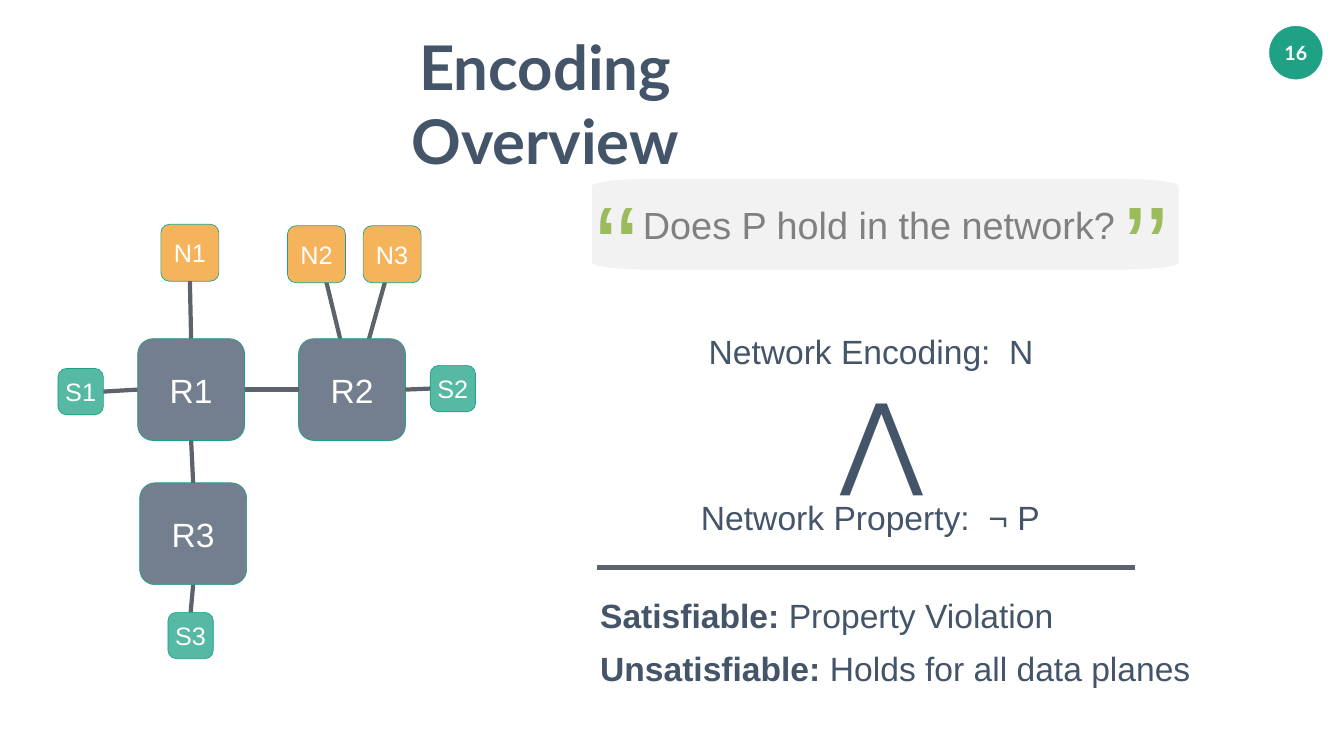
from dataclasses import dataclass
from math import cos, pi, sin

from lxml.etree import SubElement
from pptx import Presentation
from pptx.dml.color import RGBColor
from pptx.enum.shapes import MSO_CONNECTOR as Connector, MSO_SHAPE as Shape
from pptx.enum.text import MSO_ANCHOR as Anchor, MSO_AUTO_SIZE as AutoSize, PP_ALIGN as Align
from pptx.oxml.ns import qn
from pptx.util import Inches, Pt

COLUMNS, ROWS = 266.5, 150
CELL = Inches(0.1)

NAVY = RGBColor(0x44, 0x54, 0x69)
SLATE = RGBColor(0x73, 0x7F, 0x8E)
LINK_GRAY = RGBColor(0x5C, 0x63, 0x6C)
TEXT_GRAY = RGBColor(0x80, 0x80, 0x80)
PANEL_GRAY = RGBColor(0xF2, 0xF2, 0xF2)
GREEN = RGBColor(0x1E, 0xA1, 0x85)
MINT = RGBColor(0x56, 0xB9, 0xA3)
LEAF = RGBColor(0x9B, 0xBB, 0x5C)
ORANGE = RGBColor(0xF5, 0xB4, 0x5C)
WHITE = RGBColor(0xFF, 0xFF, 0xFF)


@dataclass(frozen=True)
class Run:
    text: str
    bold: bool = False
    spacing: float = 0


@dataclass(frozen=True)
class TextStyle:
    size: float
    color: RGBColor
    font: str = "Arial"


@dataclass(frozen=True)
class NodeStyle:
    preset: Shape
    width: float
    height: float
    fill: RGBColor
    text: TextStyle
    bold: bool = False
    corner: float = 0
    border: float = 1


@dataclass(frozen=True)
class Node:
    label: str
    column: float
    row: float
    style: NodeStyle


@dataclass(frozen=True)
class Link:
    start: str
    start_side: int
    end: str
    end_side: int


@dataclass(frozen=True)
class Label:
    column: float
    row: float
    width: float
    height: float
    style: TextStyle
    runs: tuple[Run, ...]
    inset: float = 0.5
    right_inset: float = 0.5
    align: Align = Align.LEFT
    wrap: bool = False


def cells(count: float) -> int:
    return round(count * CELL)


def add_runs(paragraph, runs: tuple[Run, ...], style: TextStyle) -> None:
    for item in runs:
        run = paragraph.add_run()
        run.text = item.text
        run.font.name = style.font
        run.font.size = Pt(style.size)
        run.font.bold = item.bold
        run.font.color.rgb = style.color
        if item.spacing:
            run.font._element.set("spc", str(round(item.spacing * 100)))


def add_node(slide, node: Node):
    style = node.style
    shape = slide.shapes.add_shape(style.preset, *map(cells, (node.column, node.row, style.width, style.height)))
    shape.shadow.inherit = False
    if style.corner:
        shape.adjustments[0] = style.corner
    shape.fill.solid()
    shape.fill.fore_color.rgb = style.fill
    shape.line.color.rgb = GREEN
    shape.line.width = Pt(style.border)
    frame = shape.text_frame
    frame.margin_left = frame.margin_right = frame.margin_top = frame.margin_bottom = 0
    frame.word_wrap = False
    frame.vertical_anchor = Anchor.MIDDLE
    paragraph = frame.paragraphs[0]
    paragraph.alignment = Align.CENTER
    add_runs(paragraph, (Run(node.label, style.bold),), style.text)
    return shape


def add_line(slide, start: tuple[float, float], end: tuple[float, float]):
    connector = slide.shapes.add_connector(Connector.STRAIGHT, *map(cells, (*start, *end)))
    connector.line.color.rgb = LINK_GRAY
    connector.line.width = Pt(6)
    SubElement(connector._element.spPr, qn("a:effectLst"))
    return connector


def add_link(slide, link: Link, shapes: dict) -> None:
    connector = add_line(slide, (0, 0), (0, 0))
    connector.begin_connect(shapes[link.start], link.start_side)
    connector.end_connect(shapes[link.end], link.end_side)


def add_label(slide, label: Label) -> None:
    box = slide.shapes.add_textbox(*map(cells, (label.column, label.row, label.width, label.height)))
    frame = box.text_frame
    frame.margin_left = frame.margin_top = frame.margin_bottom = cells(label.inset)
    frame.margin_right = cells(label.right_inset)
    frame.word_wrap = label.wrap
    frame.auto_size = AutoSize.SHAPE_TO_FIT_TEXT
    paragraph = frame.paragraphs[0]
    paragraph.alignment = label.align
    add_runs(paragraph, label.runs, label.style)


def add_panel(slide, column: float, row: float, width: float, height: float,
              radius_x: float, radius_y: float, steps: int = 8) -> None:
    left, right = column + radius_x, column + width - radius_x
    top, bottom = row + radius_y, row + height - radius_y
    centers = ((right, bottom), (left, bottom), (left, top), (right, top))
    points = []
    for quarter, (x, y) in enumerate(centers):
        for step in range(steps + 1):
            angle = (quarter + step / steps) * pi / 2
            points.append((cells(x + radius_x * cos(angle)), cells(y + radius_y * sin(angle))))
    builder = slide.shapes.build_freeform(*points[0])
    builder.add_line_segments(points[1:], close=True)
    panel = builder.convert_to_shape()
    panel.shadow.inherit = False
    panel.fill.solid()
    panel.fill.fore_color.rgb = PANEL_GRAY
    panel.line.fill.background()


BODY = TextStyle(48, NAVY)
QUOTE = TextStyle(166, LEAF)
NODE_TEXT = TextStyle(36, WHITE)
BADGE = NodeStyle(Shape.OVAL, 10.5, 10.5, GREEN, TextStyle(28, WHITE, "Lato"), bold=True, border=0.5)
ROUTER = NodeStyle(Shape.ROUNDED_RECTANGLE, 21.2, 20.2, SLATE, TextStyle(48, WHITE), corner=0.15)
NEIGHBOR = NodeStyle(Shape.ROUNDED_RECTANGLE, 11.5, 11.3, ORANGE, NODE_TEXT, corner=0.15)
SUBNET = NodeStyle(Shape.ROUNDED_RECTANGLE, 9, 9.2, MINT, NODE_TEXT, corner=0.19)

NODES = (
    Node("S1", 11.5, 73.1, SUBNET),
    Node("S2", 85.3, 72.5, SUBNET),
    Node("S3", 33.3, 121.5, SUBNET),
    Node("N1", 31.9, 44.5, NEIGHBOR),
    Node("N2", 57, 44.8, NEIGHBOR),
    Node("N3", 72, 44.8, NEIGHBOR),
    Node("R1", 27.3, 67.2, ROUTER),
    Node("R2", 59.2, 67.2, ROUTER),
    Node("R3", 27.7, 95.8, ROUTER),
)
LINKS = (
    Link("R1", 3, "R2", 1),
    Link("R1", 2, "R3", 0),
    Link("N1", 2, "R1", 0),
    Link("S1", 3, "R1", 1),
    Link("R2", 3, "S2", 1),
    Link("R3", 2, "S3", 0),
)
SLANTED_LINKS = (((69.4, 75.2), (62.8, 48.1)), ((70.8, 75.7), (78.4, 48.6)))

LABELS = (
    Label(80.9, 5.3, 104.9, 30.4, TextStyle(88, NAVY, "Lato"), (Run("Encoding Overview", True),),
          right_inset=51, align=Align.CENTER, wrap=True),
    Label(126.5, 39, 96.3, 11, TextStyle(54, TEXT_GRAY), (Run("Does P hold in the network?"),),
          inset=1, right_inset=0.5, wrap=True),
    *(Label(column, 33.2, 19.6, 27.6, QUOTE, (Run(mark, spacing=-3),),
            inset=1, right_inset=1, align=Align.CENTER, wrap=True)
      for column, mark in ((112.5, "‘‘"), (217.5, "’’"))),
    *(Label(column, row, width, 9.1, BODY, (Run(name), Run(" ", spacing=13), Run(symbol)))
      for column, row, width, name, symbol in (
          (140, 65.1, 65.6, "Network Encoding:", "N"),
          (138.5, 98.1, 69, "Network Property:", "¬ P"))),
    Label(166.2, 74.1, 14.6, 19.3, TextStyle(144, NAVY), (Run("⋀"),)),
    *(Label(118.5, row, width, 9.1, BODY, (Run(verdict, True), Run(meaning)))
      for row, width, verdict, meaning in (
          (117.5, 92, "Satisfiable: ", "Property Violation"),
          (128, 119.4, "Unsatisfiable: ", "Holds for all data planes"))),
)


def main() -> None:
    presentation = Presentation()
    presentation.slide_width = cells(COLUMNS)
    presentation.slide_height = cells(ROWS)
    slide = presentation.slides.add_slide(presentation.slide_layouts[6])
    add_node(slide, Node("16", 251.7, 5.2, BADGE))
    for start, end in SLANTED_LINKS:
        add_line(slide, start, end)
    shapes = {node.label: add_node(slide, node) for node in NODES}
    for link in LINKS:
        add_link(slide, link, shapes)
    add_panel(slide, 117.4, 35.5, 116.3, 18, 11.2, 1.4)
    for label in LABELS:
        add_label(slide, label)
    add_line(slide, (118.3, 112.6), (225, 112.6))
    presentation.save("out.pptx")


if __name__ == "__main__":
    main()
